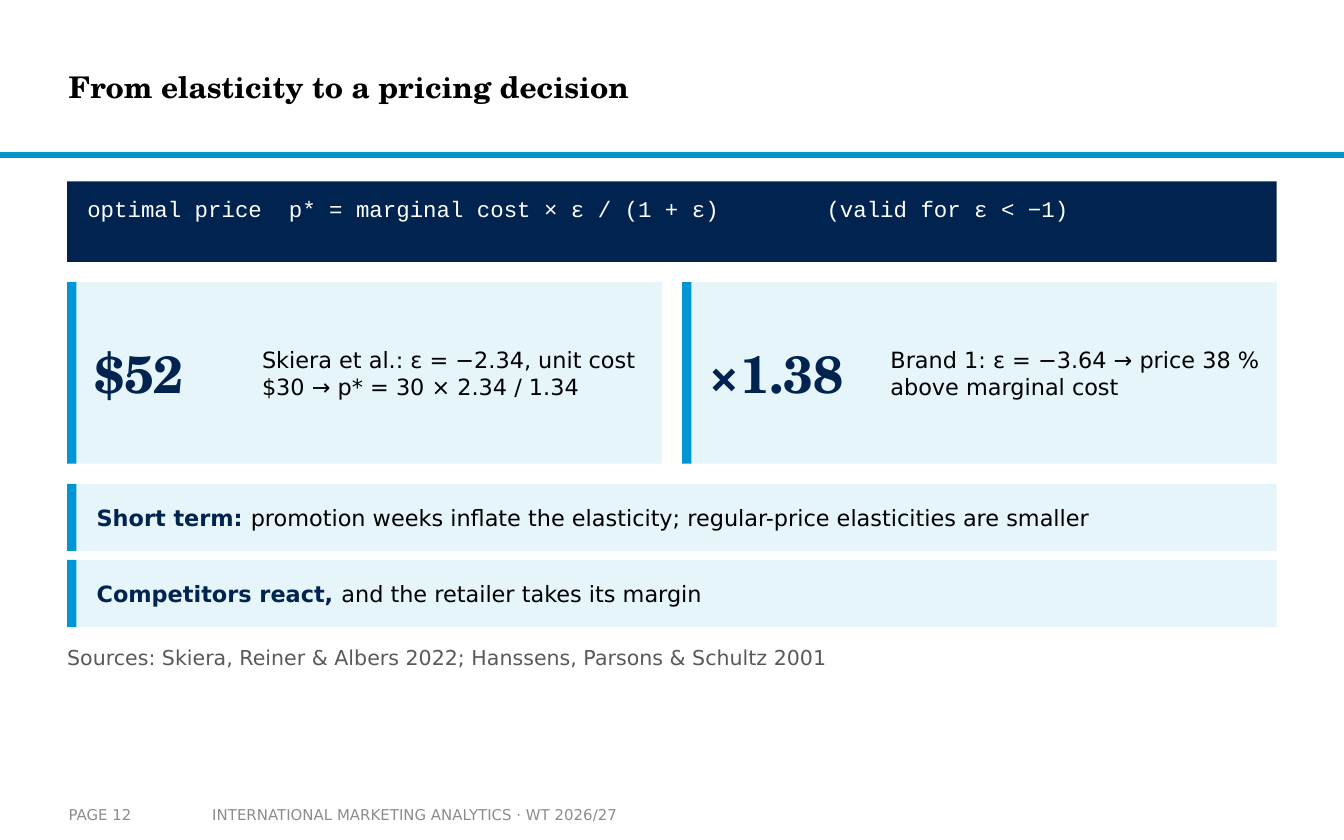
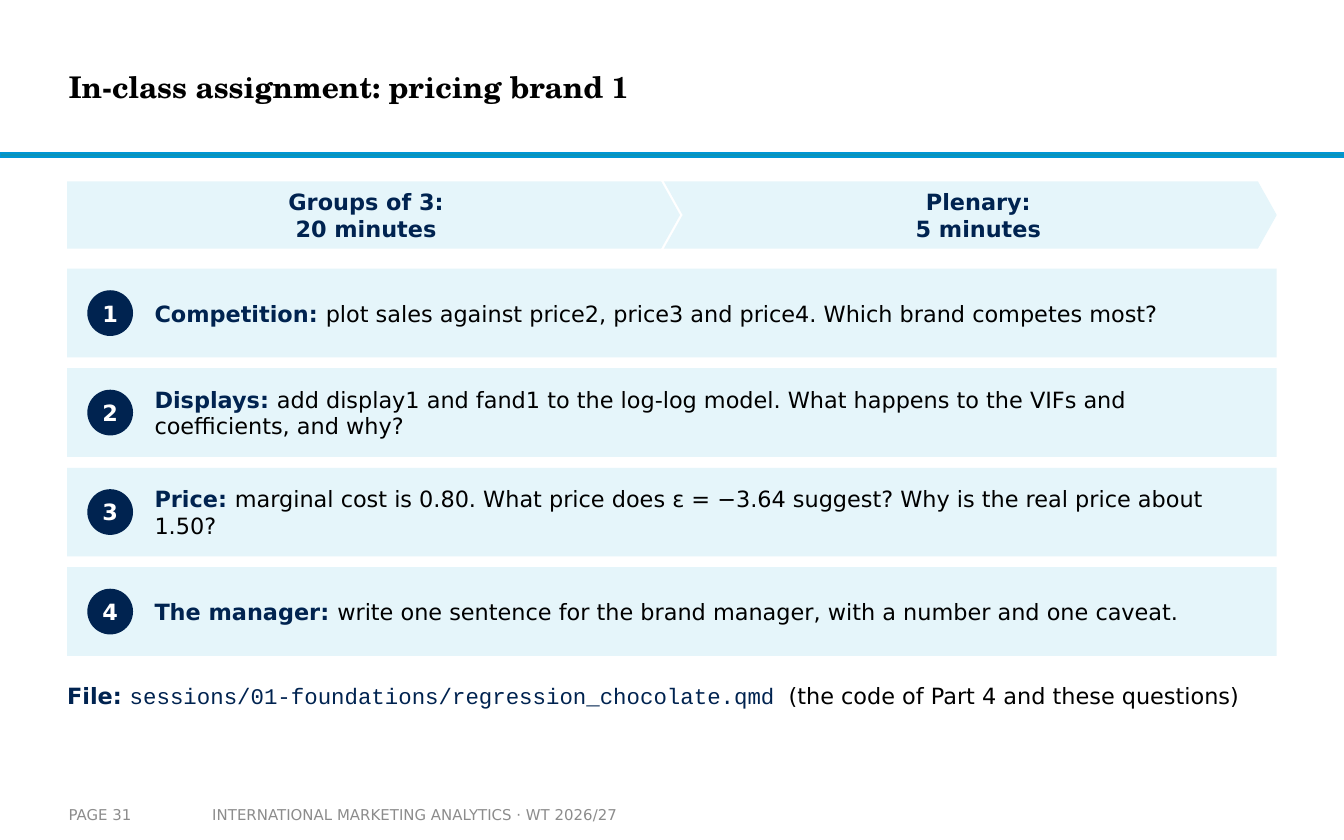
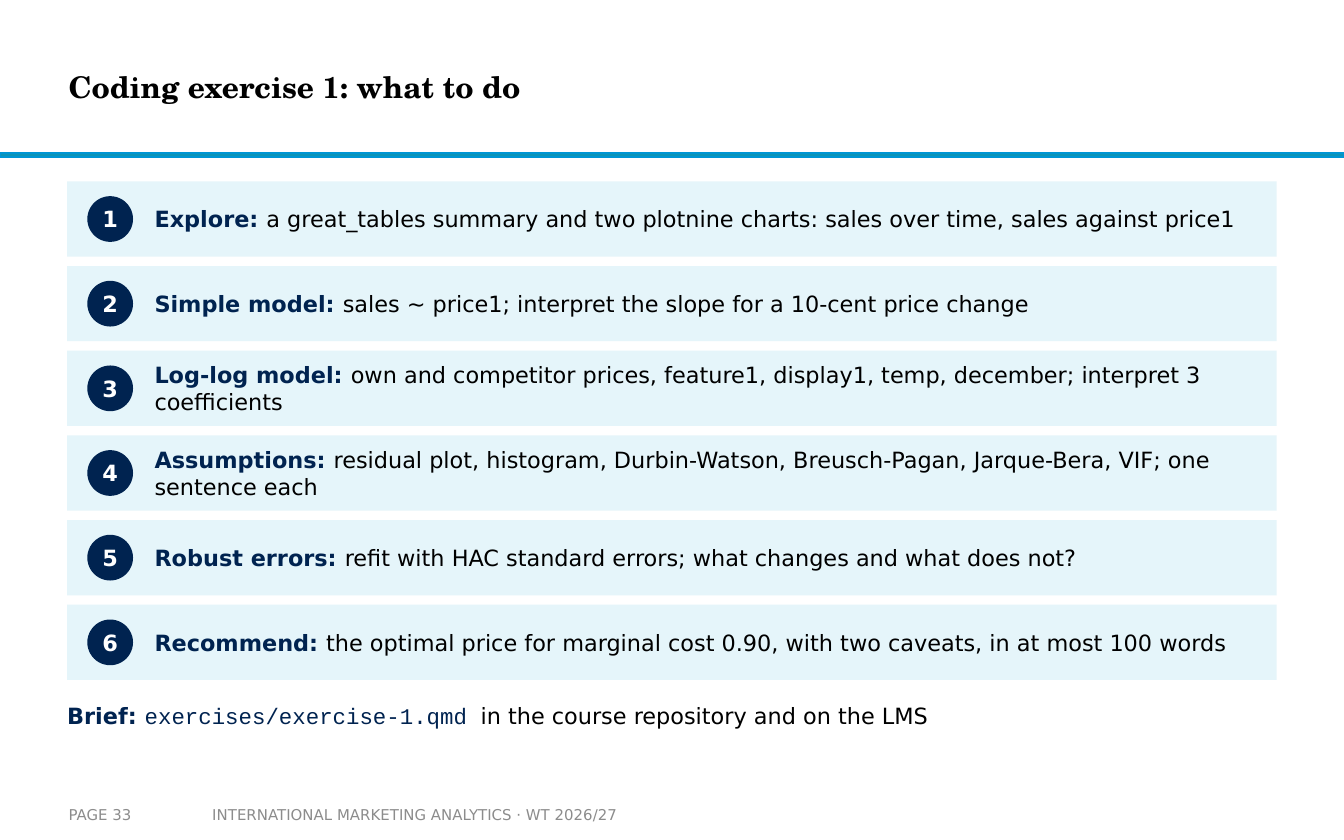
from lxml import etree
from pptx import Presentation
from pptx.dml.color import RGBColor
from pptx.enum.shapes import MSO_SHAPE
from pptx.enum.text import MSO_ANCHOR, MSO_AUTO_SIZE, PP_ALIGN
from pptx.oxml.ns import qn
from pptx.util import Pt

RECT, OVAL = MSO_SHAPE.RECTANGLE, MSO_SHAPE.OVAL
PENTAGON, CHEVRON = MSO_SHAPE.PENTAGON, MSO_SHAPE.CHEVRON
TOP, MIDDLE = MSO_ANCHOR.TOP, MSO_ANCHOR.MIDDLE
LEFT, CENTER = PP_ALIGN.LEFT, PP_ALIGN.CENTER
FIXED = MSO_AUTO_SIZE.NONE

SANS, SERIF, MONO = "DejaVu Sans", "TeX Gyre Schola", "Courier New"
NAVY, BLUE, PALE, TEAL = "002350", "0096D3", "E5F5FA", "0C94B7"
BLACK, WHITE, GREY, SOURCE_GREY = "000000", "FFFFFF", "8C8C8C", "595959"

MARGIN, WIDTH = 36, 648
CONTENT_TOP = 97.2
TITLE_ONLY = 5
COURSE = "INTERNATIONAL MARKETING ANALYTICS · WT 2026/27"


def color(value):
    return RGBColor.from_string(value)


def set_font(font, size=12, name=SANS, fill=BLACK, bold=False):
    font.size, font.name, font.bold = Pt(size), name, bold
    font.color.rgb = color(fill)


def set_frame(frame, anchor=MIDDLE, insets=(0, 0, 0, 0)):
    frame.auto_size = FIXED
    frame.word_wrap = True
    frame.vertical_anchor = anchor
    (frame.margin_left, frame.margin_top,
     frame.margin_right, frame.margin_bottom) = map(Pt, insets)
    return frame.paragraphs[0]


def add_tabs(paragraph, stops):
    tabs = etree.SubElement(paragraph._p.get_or_add_pPr(), qn("a:tabLst"))
    for stop in stops:
        etree.SubElement(tabs, qn("a:tab"), pos=str(Pt(stop)), algn="l")


class Deck:
    def __init__(self):
        self.prs = Presentation()
        self.prs.slide_width, self.prs.slide_height = Pt(720), Pt(450)
        self.slide = None

    def new_slide(self, title, page):
        self.slide = self.prs.slides.add_slide(self.prs.slide_layouts[TITLE_ONLY])
        heading = self.slide.shapes.title
        heading.left, heading.top = Pt(36.7), Pt(10.8)
        heading.width, heading.height = Pt(538.6), Pt(71.3)
        paragraph = set_frame(heading.text_frame)
        paragraph.text, paragraph.alignment = title, LEFT
        set_font(paragraph.font, 16, SERIF, BLACK, True)
        rule = self.block(0, 82.1, 720, 2.1, TEAL)
        rule.line.color.rgb, rule.line.width = color(BLUE), Pt(1)
        self.text(106.6, 426.2, 253.4, 20.2, COURSE, 8, fill=GREY,
                  insets=(7.2, 3.6, 7.2, 3.6))
        self.text(36.7, 426.2, 70.6, 20.2, f"PAGE {page}", 8, fill=GREY,
                  insets=(0, 3.6, 0, 3.6))

    def block(self, left, top, width, height, fill=PALE, kind=RECT):
        shape = self.slide.shapes.add_shape(
            kind, Pt(left), Pt(top), Pt(width), Pt(height))
        shape.shadow.inherit = False
        shape.fill.solid()
        shape.fill.fore_color.rgb = color(fill)
        shape.line.fill.background()
        return shape

    def label(self, shape, text, fill, insets=(0, 0, 0, 0)):
        paragraph = set_frame(shape.text_frame, insets=insets)
        paragraph.text, paragraph.alignment = text, CENTER
        set_font(paragraph.font, fill=fill, bold=True)

    def box(self, left, top, width, height, anchor=MIDDLE, insets=(0, 0, 0, 0)):
        frame = self.slide.shapes.add_textbox(
            Pt(left), Pt(top), Pt(width), Pt(height)).text_frame
        return set_frame(frame, anchor, insets)

    def text(self, left, top, width, height, words, size=12, name=SANS,
             fill=BLACK, bold=False, anchor=MIDDLE, insets=(0, 0, 0, 0), tabs=()):
        paragraph = self.box(left, top, width, height, anchor, insets)
        if tabs:
            add_tabs(paragraph, tabs)
        paragraph.text = words
        set_font(paragraph.font, size, name, fill, bold)

    def lead_text(self, left, top, width, height, lead, rest):
        paragraph = self.box(left, top, width, height)
        self.run(paragraph, lead + " ", fill=NAVY, bold=True)
        self.run(paragraph, rest)

    def run(self, paragraph, words, **style):
        run = paragraph.add_run()
        run.text = words
        set_font(run.font, **style)

    def panel(self, left, top, width, height):
        self.block(left, top, width, height)
        self.block(left, top, 5, height, BLUE)

    def formula(self, words, tabs):
        self.block(MARGIN, CONTENT_TOP, WIDTH, 43.2, NAVY)
        self.text(46.8, CONTENT_TOP + 7.2, 626.4, 28.8, words, name=MONO,
                  fill=WHITE, anchor=TOP, tabs=tabs)

    def figures(self, top, height, cards, gap=10.8):
        width = (WIDTH - gap * (len(cards) - 1)) / len(cards)
        for index, (figure, figure_width, caption) in enumerate(cards):
            left = MARGIN + index * (width + gap)
            self.panel(left, top, width, height)
            self.text(left + 14.4, top, figure_width, height, figure, 28,
                      SERIF, NAVY, True)
            caption_left = left + 14.4 + figure_width
            self.text(caption_left, top, left + width - 3.6 - caption_left,
                      height, caption)

    def remarks(self, top, remarks, height=36, pitch=40.8):
        for index, (lead, rest) in enumerate(remarks):
            row = top + index * pitch
            self.panel(MARGIN, row, WIDTH, height)
            self.lead_text(51.8, row, 625, height, lead, rest)

    def phases(self, phases, overlap=8.64):
        width = (WIDTH + overlap * (len(phases) - 1)) / len(phases)
        for index, phase in enumerate(phases):
            kind, inset = (CHEVRON, 18.7) if index else (PENTAGON, 7.2)
            arrow = self.block(MARGIN + index * (width - overlap), CONTENT_TOP,
                               width, 36, PALE, kind)
            arrow.adjustments[0] = 0.28
            self.label(arrow, phase, NAVY, (inset, 1.4, 10.1, 1.4))

    def steps(self, top, height, pitch, steps, badge=24.5):
        for index, (lead, rest) in enumerate(steps):
            row = top + index * pitch
            self.block(MARGIN, row, WIDTH, height)
            number = self.block(46.8, row + (height - badge) / 2, badge, badge,
                                NAVY, OVAL)
            self.label(number, str(index + 1), WHITE)
            self.lead_text(82.8, row, 590.4, height, lead, rest)

    def file_line(self, top, lead, file, remark, remark_stop):
        paragraph = self.box(MARGIN, top, WIDTH, 25.2)
        add_tabs(paragraph, [remark_stop])
        self.run(paragraph, lead + " ", fill=NAVY, bold=True)
        self.run(paragraph, file, name=MONO, fill=NAVY)
        self.run(paragraph, "\t" + remark)


def main():
    deck = Deck()

    deck.new_slide("From elasticity to a pricing decision", 12)
    deck.formula("optimal price\tp* = marginal cost × ε / (1 + ε)\t(valid for ε < −1)",
                 [108, 396])
    deck.figures(151.2, 97.2, [
        ("$52", 90, "Skiera et al.: ε = −2.34, unit cost $30 → p* = 30 × 2.34 / 1.34"),
        ("×1.38", 97.2, "Brand 1: ε = −3.64 → price 38 % above marginal cost"),
    ])
    deck.remarks(259.2, [
        ("Short term:",
         "promotion weeks inflate the elasticity; regular-price elasticities are smaller"),
        ("Competitors react,", "and the retailer takes its margin"),
    ])
    deck.text(MARGIN, 342, WIDTH, 20.2,
              "Sources: Skiera, Reiner & Albers 2022; Hanssens, Parsons & Schultz 2001",
              11, fill=SOURCE_GREY)

    deck.new_slide("In-class assignment: pricing brand 1", 31)
    deck.phases(["Groups of 3:\n20 minutes", "Plenary:\n5 minutes"])
    deck.steps(144, 47.5, 53.3, [
        ("Competition:",
         "plot sales against price2, price3 and price4. Which brand competes most?"),
        ("Displays:", "add display1 and fand1 to the log-log model. "
         "What happens to the VIFs and coefficients, and why?"),
        ("Price:", "marginal cost is 0.80. What price does ε = −3.64 suggest? "
         "Why is the real price about 1.50?"),
        ("The manager:",
         "write one sentence for the brand manager, with a number and one caveat."),
    ])
    deck.file_line(360, "File:", "sessions/01-foundations/regression_chocolate.qmd",
                   "(the code of Part 4 and these questions)", 386.5)

    deck.new_slide("Coding exercise 1: what to do", 33)
    deck.steps(CONTENT_TOP, 40.3, 45.36, [
        ("Explore:", "a great_tables summary and two plotnine charts: "
         "sales over time, sales against price1"),
        ("Simple model:", "sales ~ price1; interpret the slope for a 10-cent price change"),
        ("Log-log model:", "own and competitor prices, feature1, display1, temp, "
         "december; interpret 3 coefficients"),
        ("Assumptions:", "residual plot, histogram, Durbin-Watson, Breusch-Pagan, "
         "Jarque-Bera, VIF; one sentence each"),
        ("Robust errors:", "refit with HAC standard errors; what changes and what does not?"),
        ("Recommend:", "the optimal price for marginal cost 0.90, with two caveats, "
         "in at most 100 words"),
    ])
    deck.file_line(370.8, "Brief:", "exercises/exercise-1.qmd",
                   "in the course repository and on the LMS", 221.5)

    deck.prs.save("out.pptx")


if __name__ == "__main__":
    main()
